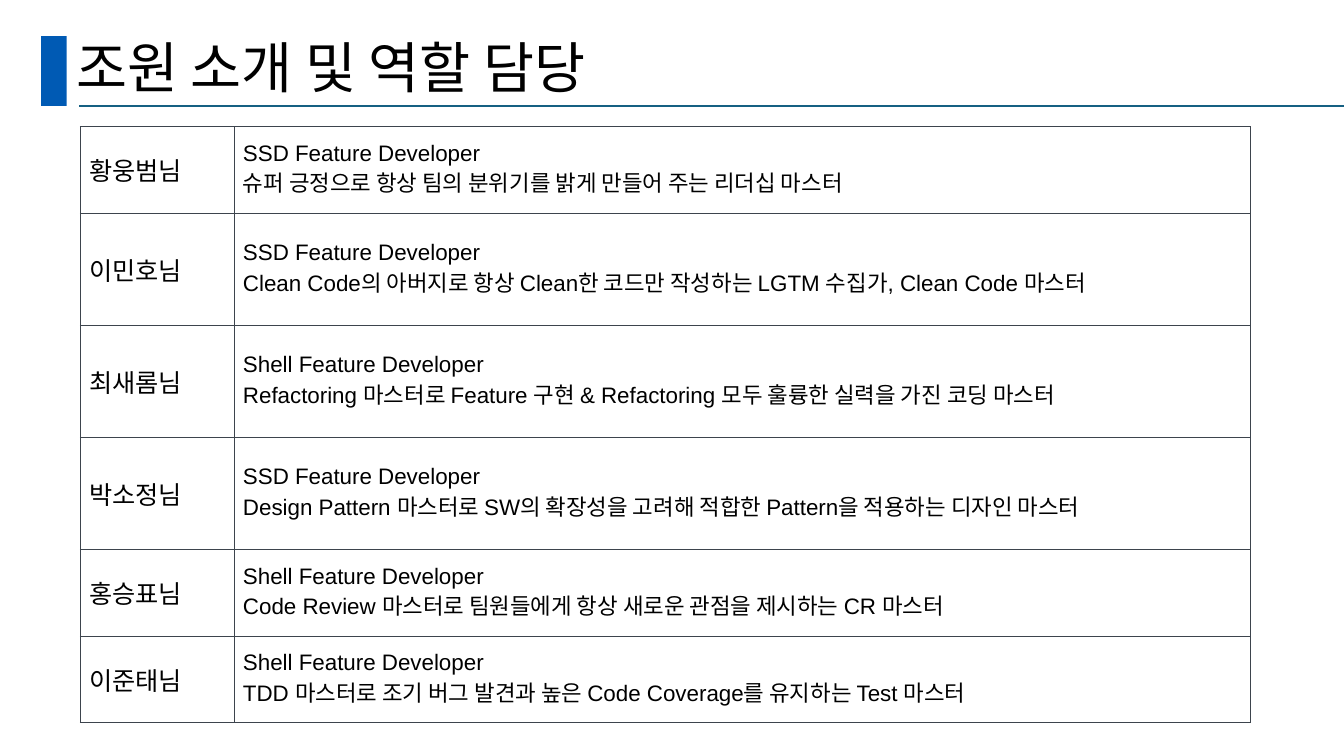
"""Build the slide that introduces the team members and their roles."""
from lxml.etree import SubElement
from pptx import Presentation
from pptx.dml.color import RGBColor
from pptx.enum.shapes import MSO_CONNECTOR as Connector, MSO_SHAPE as Shape
from pptx.enum.text import MSO_ANCHOR as Anchor
from pptx.oxml.ns import qn
from pptx.util import Pt

COLORS = {"bar": "005AB4", "rule": "156082", "border": "3D444D", "text": "000000"}
KOREAN = "Noto Sans CJK KR"
MEMBERS = [
    ("황웅범님", "SSD", "슈퍼 긍정으로 항상 팀의 분위기를 밝게 만들어 주는 리더십 마스터", 62),
    ("이민호님", "SSD", "Clean Code의 아버지로 항상 Clean한 코드만 작성하는 LGTM 수집가, Clean Code 마스터", 80),
    ("최새롬님", "Shell", "Refactoring 마스터로 Feature 구현 & Refactoring 모두 훌륭한 실력을 가진 코딩 마스터", 80),
    ("박소정님", "SSD", "Design Pattern 마스터로 SW의 확장성을 고려해 적합한 Pattern을 적용하는 디자인 마스터", 80),
    ("홍승표님", "Shell", "Code Review 마스터로 팀원들에게 항상 새로운 관점을 제시하는 CR 마스터", 62),
    ("이준태님", "Shell", "TDD 마스터로 조기 버그 발견과 높은 Code Coverage를 유지하는 Test 마스터", 62),
]


def write(paragraph, text, size, font):
    paragraph.text = text
    for span in paragraph.runs:
        span.font.size = Pt(size)
        span.font.name = font
        span.font.color.rgb = RGBColor.from_string(COLORS["text"])
        SubElement(span.font._element, qn("a:ea"), typeface=KOREAN)


def add_borders(cell):
    properties = cell._tc.get_or_add_tcPr()
    for side in ("a:lnL", "a:lnR", "a:lnT", "a:lnB"):
        line = SubElement(properties, qn(side), w=str(Pt(0.48)))
        fill = SubElement(line, qn("a:solidFill"))
        SubElement(fill, qn("a:srgbClr"), val=COLORS["border"])


deck = Presentation()
deck.slide_width, deck.slide_height = Pt(960), Pt(540)
page = deck.slides.add_slide(deck.slide_layouts[6])

bar = page.shapes.add_shape(Shape.RECTANGLE, Pt(29.4), Pt(25.8), Pt(18.2), Pt(49.8))
bar.shadow.inherit = False
bar.fill.solid()
bar.fill.fore_color.rgb = RGBColor.from_string(COLORS["bar"])
bar.line.fill.background()

rule = page.shapes.add_connector(Connector.STRAIGHT, Pt(56.6), Pt(75.6), Pt(960), Pt(75.6))
rule.line.color.rgb = RGBColor.from_string(COLORS["rule"])
rule.line.width = Pt(1.5)
SubElement(rule._element.spPr, qn("a:effectLst"))

title = page.shapes.add_textbox(Pt(47.6), Pt(24.6), Pt(828), Pt(51))
title.text_frame.word_wrap = True
title.text_frame.vertical_anchor = Anchor.MIDDLE
heading = title.text_frame.paragraphs[0]
heading.line_spacing = 0.9
write(heading, "조원 소개 및 역할 담당", 39.6, KOREAN)

frame = page.shapes.add_table(len(MEMBERS), 2, Pt(57.2), Pt(90.2), Pt(836), Pt(426))
table = frame.table
table.first_row = table.horz_banding = False
table.columns[0].width, table.columns[1].width = Pt(110), Pt(726)

for row, (name, team, strength, height) in enumerate(MEMBERS):
    table.rows[row].height = Pt(height)
    role = f"{team} Feature Developer\n{strength}"
    for column, (text, size) in enumerate([(name, 18), (role, 16)]):
        cell = table.cell(row, column)
        cell.vertical_anchor = Anchor.MIDDLE
        cell.margin_left = cell.margin_right = Pt(6.4)
        cell.margin_top = cell.margin_bottom = Pt(3.2)
        add_borders(cell)
        cell.fill.background()
        write(cell.text_frame.paragraphs[0], text, size, "Arial")

deck.save("out.pptx")
